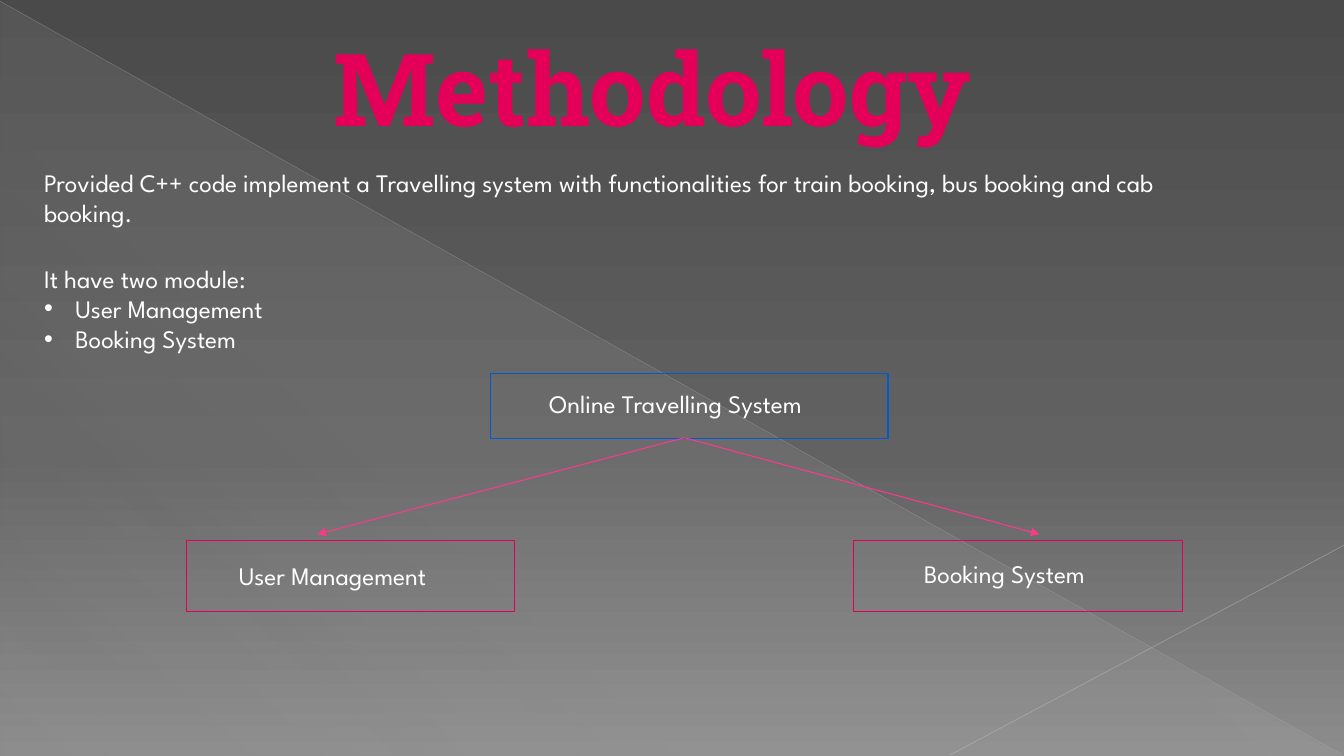
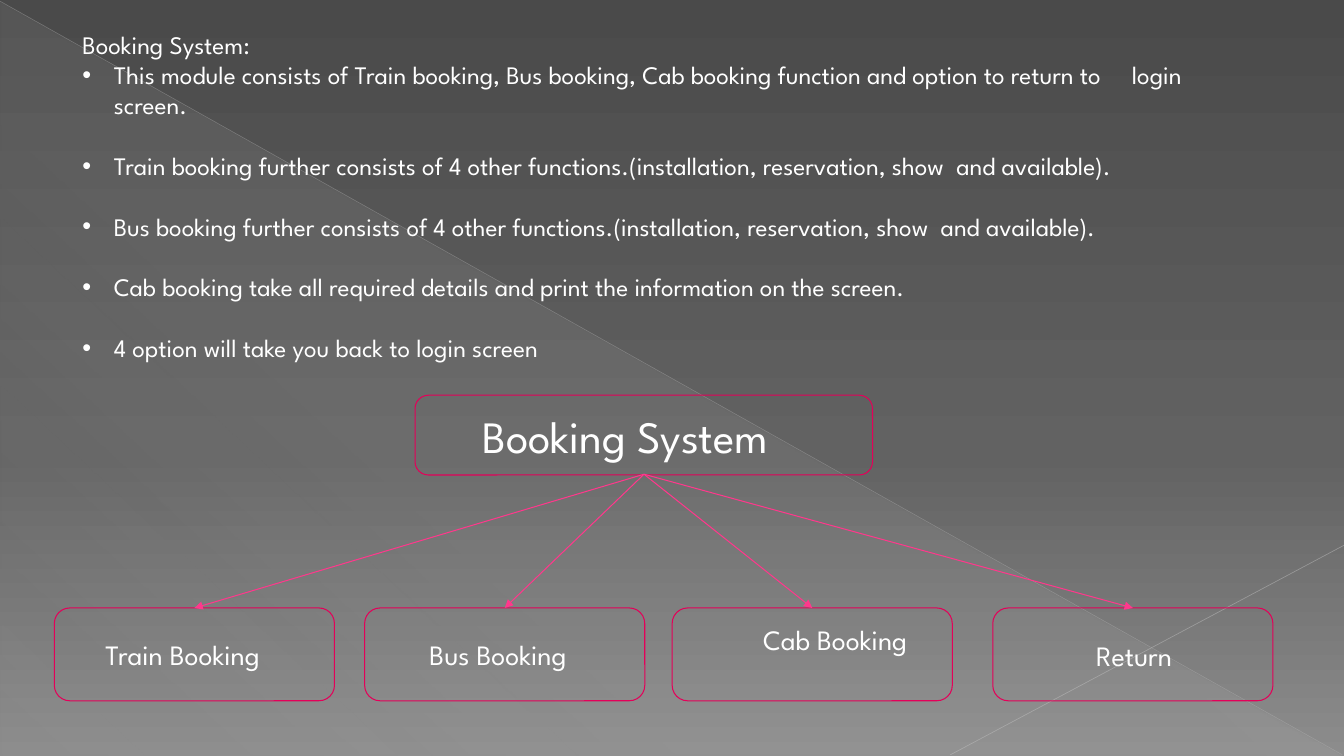
import pptx
import pptx.dml.color
import pptx.enum.shapes
import pptx.enum.text
import pptx.oxml.ns
import pptx.util
from lxml import etree

Cm, Pt = pptx.util.Cm, pptx.util.Pt
SHAPE = pptx.enum.shapes.MSO_SHAPE
ANCHOR = pptx.enum.text.MSO_ANCHOR
ALIGN = pptx.enum.text.PP_ALIGN
STRAIGHT = pptx.enum.shapes.MSO_CONNECTOR.STRAIGHT
qn = pptx.oxml.ns.qn

COLORS = {
    "text": "FFFFFF",
    "accent": "E40059",
    "blue": "005BD3",
    "arrow": "FF388C",
    "wedge": "D2D2D2",
    "diagonal": "BFBFBF",
    "corner": "C6C6C6",
    "sky": "4A4A4A",
    "middle": "626262",
    "ground": "8C8C8C",
}
BODY_FONT, TITLE_FONT = "League Spartan", "Roboto Slab"


def rgb(name):
    return pptx.dml.color.RGBColor.from_string(COLORS[name])


def write(frame, lines, size=18, font=BODY_FONT, color="text", bold=False,
          align=ALIGN.LEFT, bulleted=False, gap=0):
    """Fill a text frame; the first line is a lead-in, bullets start at the second."""
    frame.word_wrap = True
    for index, line in enumerate(lines):
        para = frame.paragraphs[0] if index == 0 else frame.add_paragraph()
        para.alignment = align
        if index > 1 and gap:
            para.space_before = Pt(gap)
        if bulleted and index > 0:
            props = para._p.get_or_add_pPr()
            props.set("marL", str(Cm(0.79)))
            props.set("indent", str(-Cm(0.79)))
            etree.SubElement(props, qn("a:buFont"), typeface="Arial")
            etree.SubElement(props, qn("a:buChar"), char="•")
        span = para.add_run()
        span.text = line
        span.font.size = Pt(size)
        span.font.name = font
        span.font.bold = bold
        span.font.color.rgb = rgb(color)


deck = pptx.Presentation()
deck.slide_width, deck.slide_height = Cm(33.87), Cm(19.05)
master = deck.slide_master
method_page = deck.slides.add_slide(deck.slide_layouts.get_by_name("Title Only"))
booking_page = deck.slides.add_slide(deck.slide_layouts.get_by_name("Blank"))

# Shared backdrop: drawn once, then kept on the slide master
master.background.fill.gradient()
wedge = method_page.shapes.add_shape(
    SHAPE.RIGHT_TRIANGLE, Cm(0.02), Cm(0.05), Cm(33.82), Cm(19))
wedge.shadow.inherit = False
wedge.line.fill.background()
wedge.fill.gradient()
gradients = [
    (master.background.fill, master.element, 90,
     [(0, "sky", 100), (60, "middle", 100), (100, "ground", 100)]),
    (wedge.fill, wedge.element, 133,
     [(0, "wedge", 10), (70, "wedge", 8), (100, "wedge", 1)]),
]
for fill, element, angle, stops in gradients:
    fill.gradient_angle = 360 - angle
    stop_list = element.xpath(".//a:gsLst")[0]
    for old_stop in list(stop_list):
        stop_list.remove(old_stop)
    for position, color, opacity in stops:
        stop = etree.SubElement(stop_list, qn("a:gs"), pos=str(position * 1000))
        tint = etree.SubElement(stop, qn("a:srgbClr"), val=COLORS[color])
        etree.SubElement(tint, qn("a:alpha"), val=str(opacity * 1000))

backdrop = [wedge]
for ends, color, width, opacity in [
    ((0, 0.03, 33.83, 19.02), "diagonal", 0.39, 35),
    ((33.87, 13.74, 23.95, 19.02), "corner", 0.47, 45),
]:
    ray = method_page.shapes.add_connector(STRAIGHT, *map(Cm, ends))
    ray.line.width = Pt(width)
    ray.line.color.rgb = rgb(color)
    tint = ray.element.xpath(".//a:ln//a:srgbClr")[0]
    etree.SubElement(tint, qn("a:alpha"), val=str(opacity * 1000))
    etree.SubElement(ray.element.spPr, qn("a:effectLst"))
    backdrop.append(ray)
for number, piece in enumerate(backdrop):
    piece.element.xpath(".//p:cNvPr")[0].set("id", str(100 + number))
    master.shapes.element.append(piece.element)

# Title
title = method_page.shapes.title
title.left, title.top, title.width, title.height = Cm(2.54), Cm(0.51), Cm(27.81), Cm(3.33)
title.text_frame.auto_size = pptx.enum.text.MSO_AUTO_SIZE.NONE
title.text_frame.vertical_anchor = ANCHOR.TOP
write(title.text_frame, ["Methodology"], size=72, font=TITLE_FONT,
      color="accent", bold=True, align=ALIGN.CENTER)

# Body text: page, place, gap between bullets, lines
bodies = [
    (method_page, (0.86, 4.09, 29.41, 1.8), 0, [
        "Provided C++ code implement a Travelling system with functionalities "
        "for train booking, bus booking and cab booking.",
    ]),
    (method_page, (0.86, 6.5, 15.04, 2.57), 0, [
        "It have two module:",
        "User Management",
        "Booking System",
    ]),
    (booking_page, (1.83, 0.61, 28.8, 9.5), 21.7, [
        "Booking System:",
        "This module consists of Train booking, Bus booking, Cab booking function "
        "and option to return to     login screen.",
        "Train booking further consists of 4 other functions."
        "(installation, reservation, show  and available).",
        "Bus booking further consists of 4 other functions."
        "(installation, reservation, show  and available).",
        "Cab booking take all required details and print the information on the screen.",
        "4 option will take you back to login screen",
    ]),
]
for page, place, gap, lines in bodies:
    box = page.shapes.add_textbox(*map(Cm, place))
    write(box.text_frame, lines, bulleted=True, gap=gap)

# Diagrams; each node is place, label, left inset, upward shift, size, outline
method_nodes = [
    ((12.37, 9.42, 10.01, 1.63), "Online Travelling System", 1.47, 0.08, 18, "blue"),
    ((4.7, 13.61, 8.28, 1.8), "User Management", 1.32, 0, 18, "accent"),
    ((21.51, 13.61, 8.28, 1.8), "Booking System", 1.78, 0.06, 18, "accent"),
]
booking_nodes = [
    ((10.46, 9.96, 11.53, 2.01), "Booking System", 1.6, 0, 32, "accent"),
] + [
    ((left, 15.32, 7.06, 2.34), label, inset, shift, 20, "accent")
    for left, label, inset, shift in [
        (1.37, "Train Booking", 1.17, 0),
        (9.19, "Bus Booking", 1.52, 0),
        (16.94, "Cab Booking", 2.18, 0.38),
        (25.02, "Return", 2.49, -0.03),
    ]
]
# Page, outline shape, nodes, arrow start, arrow tips
diagrams = [
    (method_page, SHAPE.RECTANGLE, method_nodes, (17.25, 11.03),
     [(8, 13.46), (26.19, 13.46)]),
    (booking_page, SHAPE.ROUNDED_RECTANGLE, booking_nodes, (16.23, 11.95),
     [(place[0] + place[2] / 2, place[1]) for place, *_ in booking_nodes[1:]]),
]
for page, outline, nodes, start, tips in diagrams:
    for place, label, inset, shift, size, color in nodes:
        node = page.shapes.add_shape(outline, *map(Cm, place))
        node.shadow.inherit = False
        node.fill.background()
        node.line.color.rgb = rgb(color)
        node.line.width = Pt(0.75)
        frame = node.text_frame
        frame.vertical_anchor = ANCHOR.MIDDLE
        frame.margin_left, frame.margin_right = Cm(inset), 0
        frame.margin_top = Cm(max(0, -2 * shift))
        frame.margin_bottom = Cm(max(0, 2 * shift))
        write(frame, [label], size=size)
    for tip in tips:
        arrow = page.shapes.add_connector(STRAIGHT, *map(Cm, start + tip))
        arrow.line.color.rgb = rgb("arrow")
        arrow.line.width = Pt(0.75)
        etree.SubElement(arrow.line._get_or_add_ln(), qn("a:tailEnd"), type="triangle")
        etree.SubElement(arrow.element.spPr, qn("a:effectLst"))

deck.save("out.pptx")
